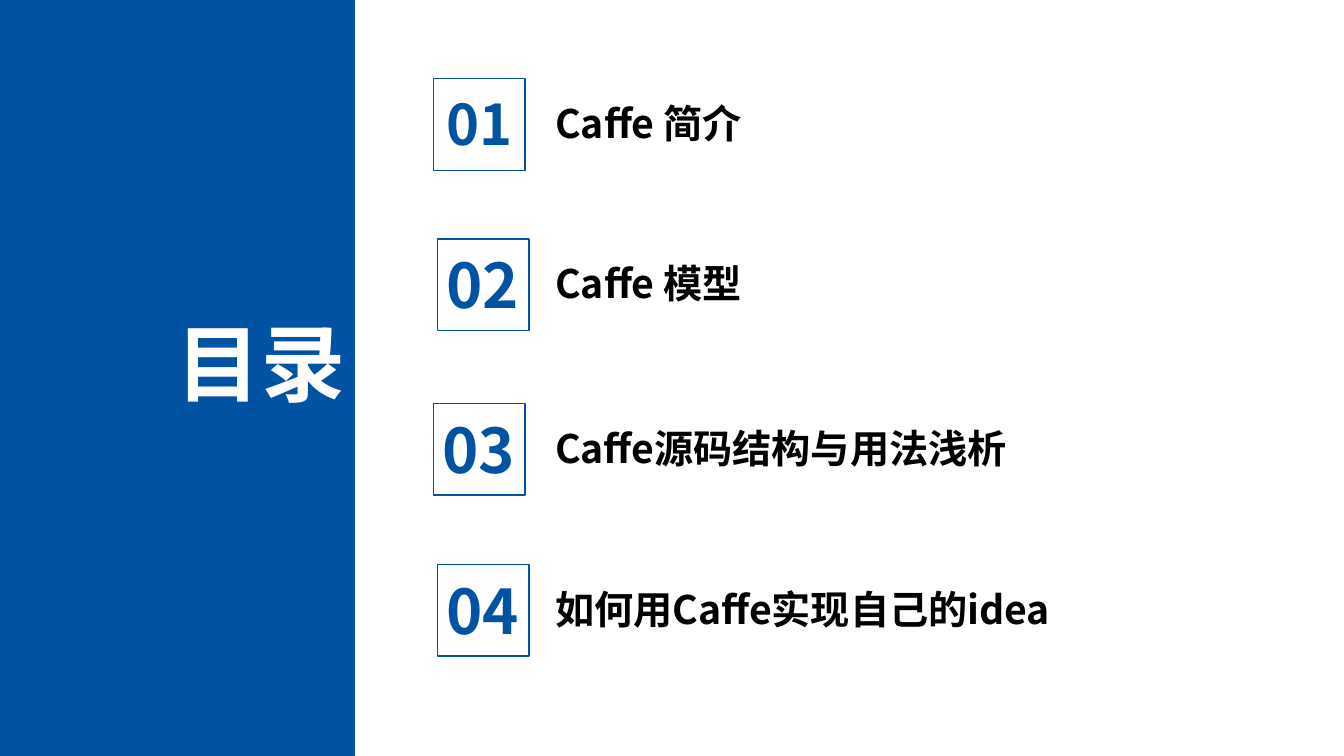
from lxml import etree
from pptx import Presentation
from pptx.dml.color import RGBColor
from pptx.enum.shapes import MSO_SHAPE
from pptx.enum.text import MSO_AUTO_SIZE, PP_ALIGN
from pptx.oxml.ns import qn
from pptx.util import Pt

RECT = MSO_SHAPE.RECTANGLE
GROW = MSO_AUTO_SIZE.SHAPE_TO_FIT_TEXT
LEFT, CENTER, RIGHT = PP_ALIGN.LEFT, PP_ALIGN.CENTER, PP_ALIGN.RIGHT

# Content: label, label width, top of the number frame, number size
TITLE = "目录"
ITEMS = [
    ("Caffe 简介", 188.6, 56.2, 40),
    ("Caffe 模型", 306, 170.6, 44),
    ("Caffe源码结构与用法浅析", 391.7, 288, 44),
    ("如何用Caffe实现自己的idea", 486.7, 403.2, 44),
]

THEME = {
    "font": "Noto Sans CJK SC",
    "blue": RGBColor(0x00, 0x53, 0xA3),
    "white": RGBColor(0xFF, 0xFF, 0xFF),
    "black": RGBColor(0x00, 0x00, 0x00),
    "title": 60,
    "label": 28,
}

# Layout in points
SLIDE_W, SLIDE_H = 960, 540
PANEL_W = 253.5
FRAME = 65.5
FRAME_LEFTS = (309.6, 312.5)  # odd and even items are staggered
LABEL_LEFT, LABEL_DROP, LABEL_H = 389.5, 11.2, 43.2
NUMBER_BOXES = {40: (0, 4.3, 65.5, 55.4), 44: (-2.9, 2.4, 70.6, 60.5)}


def add_text(shapes, text, box, size, color, align=LEFT):
    tf = shapes.add_textbox(*map(Pt, box)).text_frame
    tf.word_wrap = True
    tf.auto_size = GROW
    p = tf.paragraphs[0]
    p.text = text
    p.alignment = align
    p.font.name = THEME["font"]
    p.font.size = Pt(size)
    p.font.bold = True
    p.font.color.rgb = color
    # East Asian glyphs take their own typeface entry
    props = p._p.pPr.find(qn("a:defRPr"))
    etree.SubElement(props, qn("a:ea"), typeface=THEME["font"])


def add_rect(shapes, box):
    sp = shapes.add_shape(RECT, *map(Pt, box))
    sp.shadow.inherit = False
    return sp


prs = Presentation()
prs.slide_width, prs.slide_height = Pt(SLIDE_W), Pt(SLIDE_H)
s = prs.slides.add_slide(prs.slide_layouts[6])

# Title panel
panel = add_rect(s.shapes, (0, 0, PANEL_W, SLIDE_H))
panel.fill.solid()
panel.fill.fore_color.rgb = THEME["blue"]
panel.line.fill.background()
add_text(s.shapes, TITLE, (70.6, 218.9, 182.9, 79.9), THEME["title"],
         THEME["white"], RIGHT)

# Contents: one group of label, number and frame per item
for i, (label, width, top, size) in enumerate(ITEMS):
    left = FRAME_LEFTS[i % 2]
    dx, dy, num_w, num_h = NUMBER_BOXES[size]
    shapes = s.shapes.add_group_shape().shapes
    add_text(shapes, label, (LABEL_LEFT, top + LABEL_DROP, width, LABEL_H),
             THEME["label"], THEME["black"])
    add_text(shapes, f"{i + 1:02d}", (left + dx, top + dy, num_w, num_h),
             size, THEME["blue"], CENTER)
    frame = add_rect(shapes, (left, top, FRAME, FRAME))
    frame.fill.background()
    frame.line.color.rgb = THEME["blue"]
    frame.line.width = Pt(1)

prs.save("out.pptx")
